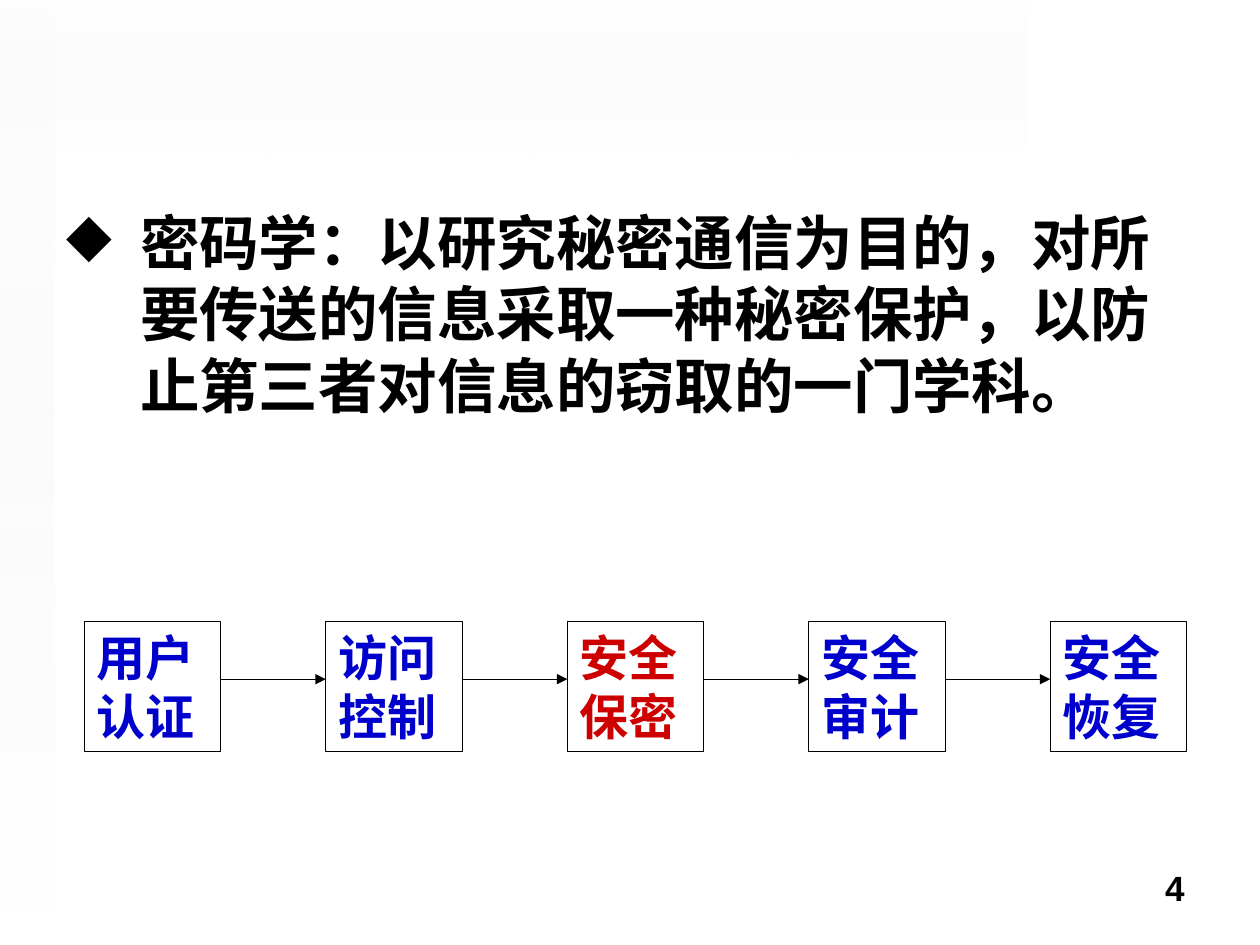
"""Build the slide defining cryptography above a five-step security chain."""
from lxml import etree
from pptx import Presentation
from pptx.dml.color import RGBColor
from pptx.enum.shapes import MSO_CONNECTOR, MSO_SHAPE
from pptx.enum.text import PP_ALIGN
from pptx.oxml.ns import qn
from pptx.util import Pt

RECT = MSO_SHAPE.RECTANGLE
STRAIGHT = MSO_CONNECTOR.STRAIGHT
LEFT, RIGHT = PP_ALIGN.LEFT, PP_ALIGN.RIGHT
BLACK = RGBColor(0x00, 0x00, 0x00)
WHITE = RGBColor(0xFF, 0xFF, 0xFF)
GREY = RGBColor(0xEA, 0xEA, 0xEA)
BLUE = RGBColor(0x00, 0x00, 0xCC)
RED = RGBColor(0xCC, 0x00, 0x00)
CJK = "Noto Sans CJK SC"


def write(p, text, size, name, color, align=LEFT, spacing=None):
    p.alignment = align
    p.line_spacing = spacing
    r = p.add_run()
    r.text = text
    for key, value in {"size": Pt(size), "name": name, "bold": True}.items():
        setattr(r.font, key, value)
    r.font.color.rgb = color
    etree.SubElement(r.font._element, qn("a:ea"), typeface=CJK)


prs = Presentation()
prs.slide_width, prs.slide_height = Pt(720), Pt(540)
s = prs.slides.add_slide(prs.slide_layouts[6])

bands = [
    ((249.1, -249.1, 88.6, 586.8), 90, 0, 49),
    ((0, 0, 31, 522.7), 180, 90, 65),
]
for box, rotation, angle, opacity in bands:
    sp = s.shapes.add_shape(RECT, *map(Pt, box))
    sp.shadow.inherit = False
    sp.rotation = rotation
    sp.line.fill.background()
    sp.fill.gradient()
    sp.fill.gradient_angle = angle
    for stop, color in zip(sp.fill.gradient_stops, (GREY, WHITE)):
        stop.color.rgb = color
    for clr, alpha in zip(sp._element.spPr.iter(qn("a:srgbClr")), (0, opacity)):
        etree.SubElement(clr, qn("a:alpha"), val=str(alpha * 1000))

sp = s.shapes.add_textbox(Pt(516.2), Pt(491.8), Pt(167.8), Pt(37.4))
sp.text_frame.word_wrap = True
write(sp.text_frame.paragraphs[0], "4", 20, "Arial", BLACK, RIGHT)

sp = s.shapes.add_textbox(Pt(31), Pt(113.8), Pt(652.3), Pt(337))
tf = sp.text_frame
tf.word_wrap = True
p = tf.paragraphs[0]
pPr = p._p.get_or_add_pPr()
pPr.set("marL", str(Pt(42)))
pPr.set("indent", str(Pt(-42)))
buClr = etree.SubElement(pPr, qn("a:buClr"))
etree.SubElement(buClr, qn("a:srgbClr"), val=str(BLACK))
etree.SubElement(pPr, qn("a:buChar"), char="◆")
write(
    p,
    "密码学：以研究秘密通信为目的，对所要传送的信息采取一种秘密保护，以防止第三者对信息的窃取的一门学科。",
    34, "Arial", BLACK, spacing=Pt(41),
)

steps = [
    ("用户", "认证", BLUE),
    ("访问", "控制", BLUE),
    ("安全", "保密", RED),
    ("安全", "审计", BLUE),
    ("安全", "恢复", BLUE),
]
left, top, width, height, pitch, arrow_y = 48.2, 355, 78, 74.6, 138, 388.1
for i, (first, second, color) in enumerate(steps):
    x = left + i * pitch
    sp = s.shapes.add_shape(RECT, Pt(x), Pt(top), Pt(width), Pt(height))
    sp.shadow.inherit = False
    sp.fill.background()
    sp.line.color.rgb = BLACK
    sp.line.width = Pt(0.75)
    tf = sp.text_frame
    tf.word_wrap = True
    write(tf.paragraphs[0], first, 28, CJK, color, spacing=Pt(33.5))
    write(tf.add_paragraph(), second, 28, CJK, color, spacing=Pt(33.5))
    if i:
        line = s.shapes.add_connector(
            STRAIGHT, Pt(x - pitch + width), Pt(arrow_y), Pt(x), Pt(arrow_y)
        )
        line.line.color.rgb = BLACK
        line.line.width = Pt(0.75)
        etree.SubElement(line.line._get_or_add_ln(), qn("a:tailEnd"), type="triangle")
        etree.SubElement(line._element.spPr, qn("a:effectLst"))

prs.save("out.pptx")
